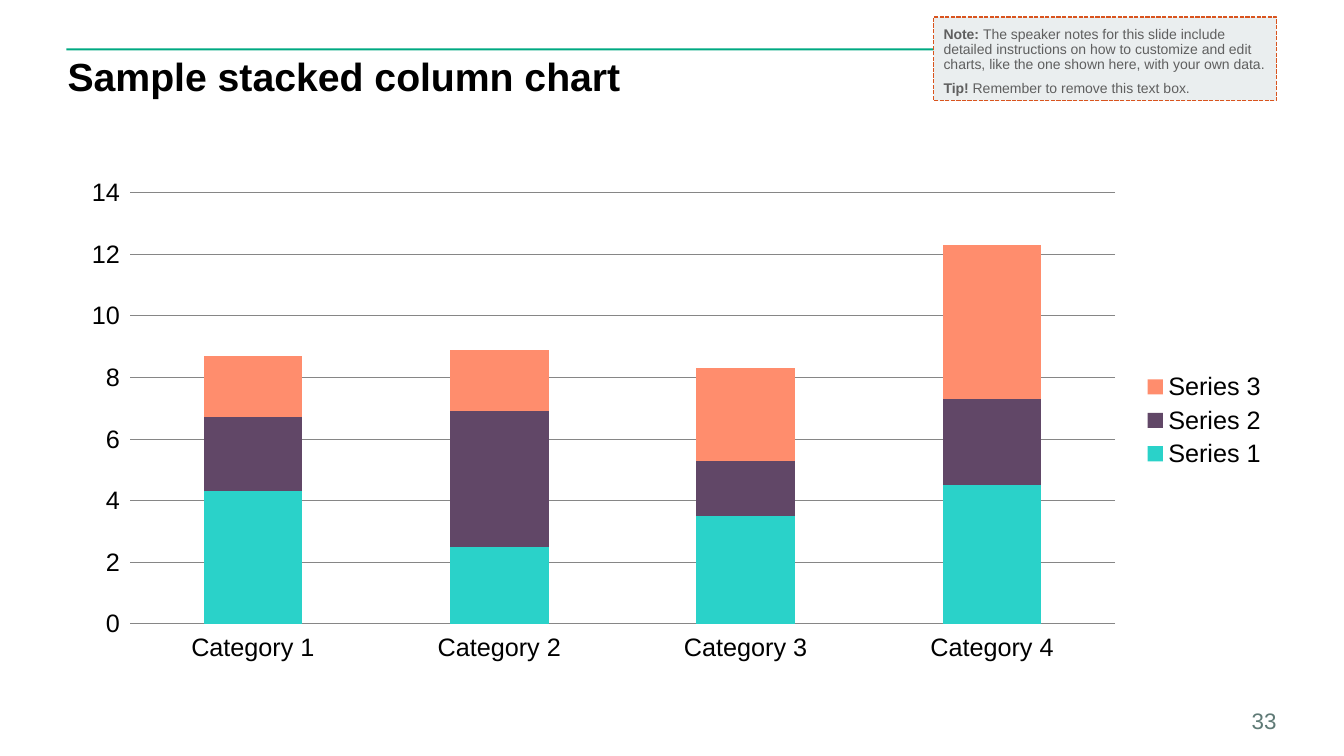
from pptx import Presentation
from pptx.chart.data import CategoryChartData as Data
from pptx.dml.color import RGBColor as Rgb
from pptx.enum.chart import XL_CHART_TYPE as Kind, XL_LEGEND_POSITION as Spot, XL_TICK_MARK as Tick
from pptx.enum.dml import MSO_LINE as Dash
from pptx.enum.shapes import MSO_SHAPE as Form
from pptx.enum.text import MSO_ANCHOR as Anchor, MSO_AUTO_SIZE as Fit, PP_ALIGN as Align
from pptx.util import Pt

PX = 9144
FONT = "Arial"
HUES = {
    "rule": "00A982", "ink": "000000", "page": "5F7A76",
    "note": "5F5F5F", "pale": "EAEEEF", "edge": "D9541E", "grid": "868686",
    "teal": "2AD2C9", "plum": "614767", "coral": "FF8D6D",
}
SALES = [
    ("Series 1", "teal", (4.3, 2.5, 3.5, 4.5)),
    ("Series 2", "plum", (2.4, 4.4, 1.8, 2.8)),
    ("Series 3", "coral", (2, 2, 3, 5)),
]
NOTES = [
    ("Note: ", "The speaker notes for this slide include detailed instructions on how to "
               "customize and edit charts, like the one shown here, with your own data."),
    ("Tip! ", "Remember to remove this text box."),
]


def hue(name):
    return Rgb.from_string(HUES[name])


def style(font, size, color, bold=False):
    font.name, font.size, font.bold = FONT, Pt(size), bold
    font.color.rgb = hue(color)


def write(para, text, size=10, color="ink", bold=False, align=Align.LEFT, gap=0, lead=0.9):
    para.alignment, para.line_spacing, para.space_before = align, lead, Pt(gap)
    run = para.add_run()
    run.text = text
    style(run.font, size, color, bold)


class Page:
    def __init__(self, deck):
        self.slide = deck.slides.add_slide(deck.slide_layouts[5])
        self.shapes = self.slide.shapes

    def scale(self, *box):
        return [n * PX for n in box]

    def frame(self, shape, pad=0, anchor=Anchor.TOP, wrap=True):
        body = shape.text_frame
        body.auto_size, body.word_wrap, body.vertical_anchor = Fit.NONE, wrap, anchor
        body.margin_left = body.margin_right = body.margin_top = body.margin_bottom = pad * PX
        return body

    def title(self, text, *box):
        shape = self.shapes.title
        shape.left, shape.top, shape.width, shape.height = self.scale(*box)
        write(self.frame(shape).paragraphs[0], text, size=28, bold=True)

    def rect(self, fill, *box, edge=None):
        shape = self.shapes.add_shape(Form.RECTANGLE, *self.scale(*box))
        shape.shadow.inherit = False
        shape.fill.solid()
        shape.fill.fore_color.rgb = hue(fill)
        if edge:
            shape.line.color.rgb = hue(edge)
            shape.line.width = Pt(1)
            shape.line.dash_style = Dash.SQUARE_DOT
        else:
            shape.line.fill.background()
        return shape

    def note(self, rows, *box):
        body = self.frame(self.rect("pale", *box, edge="edge"), pad=10)
        for i, (head, text) in enumerate(rows):
            para = body.add_paragraph() if i else body.paragraphs[0]
            write(para, head, color="note", bold=True, gap=6)
            write(para, text, color="note", gap=6)

    def number(self, text, *box):
        shape = self.shapes.add_textbox(*self.scale(*box))
        body = self.frame(shape, anchor=Anchor.BOTTOM, wrap=False)
        write(body.paragraphs[0], text, size=16, color="page", align=Align.RIGHT, lead=1.0)

    def chart(self, rows, *box):
        data = Data()
        data.categories = [f"Category {n}" for n in range(1, 5)]
        for name, _, vals in rows:
            data.add_series(name, vals)
        chart = self.shapes.add_chart(Kind.COLUMN_STACKED, *self.scale(*box), data).chart
        style(chart.font, 18, "ink")
        chart.has_title = False
        chart.has_legend = True
        chart.legend.position = Spot.RIGHT
        chart.legend.include_in_layout = False
        plot = chart.plots[0]
        plot.gap_width, plot.overlap, plot.vary_by_categories = 150, 100, False
        for bar, (_, color, _) in zip(plot.series, rows):
            bar.format.fill.solid()
            bar.format.fill.fore_color.rgb = hue(color)
        for axis in (chart.category_axis, chart.value_axis):
            axis.major_tick_mark = Tick.OUTSIDE
            axis.format.line.fill.background()
        axis = chart.value_axis
        axis.minimum_scale, axis.maximum_scale, axis.major_unit = 0, 14, 2
        axis.has_major_gridlines = True
        line = axis.major_gridlines.format.line
        line.color.rgb = hue("grid")
        line.width = Pt(0.75)


def main():
    deck = Presentation()
    deck.slide_width, deck.slide_height = 1333 * PX, 750 * PX
    page = Page(deck)
    page.rect("rule", 66, 48, 1200, 2)
    page.title("Sample stacked column chart", 67, 57, 1200, 93)
    page.chart(SALES, 67, 167, 1200, 500)
    page.number("33", 1208, 703, 58, 25)
    page.note(NOTES, 926, 17, 340, 83)
    deck.save("out.pptx")


if __name__ == "__main__":
    main()
